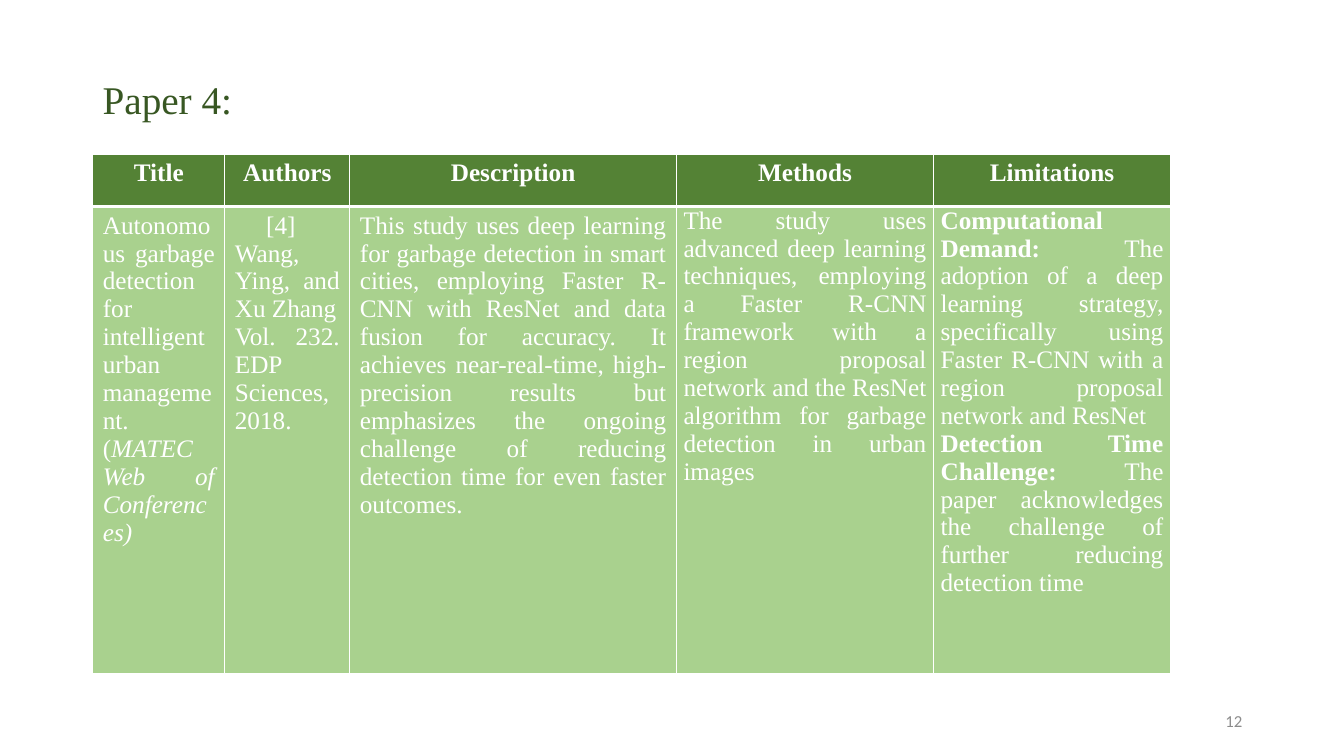
from lxml import etree
from pptx import Presentation
from pptx.dml.color import RGBColor
from pptx.enum.text import MSO_ANCHOR, PP_ALIGN
from pptx.oxml.ns import qn
from pptx.util import Emu, Inches, Pt

LEFT, CENTER, RIGHT, JUSTIFY = (
    PP_ALIGN.LEFT, PP_ALIGN.CENTER, PP_ALIGN.RIGHT, PP_ALIGN.JUSTIFY)
MIDDLE = MSO_ANCHOR.MIDDLE

TITLE = "Paper 4:"
PAGE_NUMBER = "12"
HEADERS = ["Title", "Authors", "Description", "Methods", "Limitations"]
# Each cell is a list of paragraphs; each paragraph a list of (text, style) spans.
DETAILS = [
    [[("Autonomous garbage detection for intelligent urban management.(", ""),
      ("MATEC Web of Conferences)", "italic")]],
    [[("[4]", "")],
     [("Wang, Ying, and Xu Zhang", "")],
     [("Vol. 232. EDP Sciences, 2018.", "")]],
    [[("This study uses deep learning for garbage detection in smart cities, "
       "employing Faster R-CNN with ResNet and data fusion for accuracy. It "
       "achieves near-real-time, high-precision results but emphasizes the "
       "ongoing challenge of reducing detection time for even faster outcomes.", "")]],
    [[("The study uses advanced deep learning techniques, employing a Faster "
       "R-CNN framework with a region proposal network and the ResNet algorithm "
       "for garbage detection in urban images", "")]],
    [[("Computational Demand:", "bold"),
      (" The adoption of a deep learning strategy, specifically using Faster "
       "R-CNN with a region proposal network and ResNet", "")],
     [("Detection Time Challenge:", "bold"),
      (" The paper acknowledges the challenge of further reducing detection time", "")]],
]

SERIF, SANS = "Times New Roman", "Calibri"
WHITE, DARK_GREEN, HEADER_GREEN, BODY_GREEN, GRAY = (
    "FFFFFF", "385723", "548235", "A9D18E", "8C8C8C")

MARGIN = 0.92
TABLE_TOP = 1.53
COLUMN_WIDTHS = [1.31, 1.24, 3.24, 2.55, 2.35]
ROW_HEIGHTS = [0.52, 4.63]
TIGHT_COLUMNS = (3, 4)
TIGHT_INSET = 0.07
CITATION_INDENT = 0.31
THIN, THICK = 1, 3


def color(value):
    return RGBColor.from_string(value)


def write(para, text, size=18, font=SERIF, fill=WHITE, style="", align=LEFT):
    para.alignment = align
    span = para.add_run()
    span.text = text
    span.font.size = Pt(size)
    span.font.name = font
    span.font.color.rgb = color(fill)
    span.font.bold = style == "bold"
    span.font.italic = style == "italic"


def add_label(page, text, left, top, width, height, **text_format):
    box = page.shapes.add_textbox(*map(Inches, (left, top, width, height)))
    frame = box.text_frame
    frame.word_wrap = True
    frame.vertical_anchor = MIDDLE
    write(frame.paragraphs[0], text, **text_format)


def paint(cell, fill, top, bottom):
    """Give a cell white borders, then its fill, in the order the schema asks."""
    properties = cell._tc.get_or_add_tcPr()
    for tag, width in (("lnL", THIN), ("lnR", THIN), ("lnT", top), ("lnB", bottom)):
        line = etree.SubElement(properties, qn("a:" + tag), w=str(Pt(width)))
        solid = etree.SubElement(line, qn("a:solidFill"))
        etree.SubElement(solid, qn("a:srgbClr"), val=WHITE)
    cell.fill.solid()
    cell.fill.fore_color.rgb = color(fill)


def add_paper_table(page):
    table = page.shapes.add_table(
        len(ROW_HEIGHTS), len(HEADERS), Inches(MARGIN), Inches(TABLE_TOP),
        Inches(sum(COLUMN_WIDTHS)), Inches(sum(ROW_HEIGHTS))).table
    for row, height in zip(table.rows, ROW_HEIGHTS):
        row.height = Inches(height)
    for index, width in enumerate(COLUMN_WIDTHS):
        table.columns[index].width = Inches(width)
        header, detail = table.cell(0, index), table.cell(1, index)
        paint(header, HEADER_GREEN, THIN, THICK)
        write(header.text_frame.paragraphs[0], HEADERS[index],
              style="bold", align=CENTER)

        paint(detail, BODY_GREEN, THICK, THIN)
        if index in TIGHT_COLUMNS:
            detail.margin_left = detail.margin_right = Inches(TIGHT_INSET)
            detail.margin_top = detail.margin_bottom = Emu(0)
        frame = detail.text_frame
        for number, spans in enumerate(DETAILS[index]):
            para = frame.add_paragraph() if number else frame.paragraphs[0]
            for text, style in spans:
                write(para, text, style=style, align=JUSTIFY)
    citation = table.cell(1, HEADERS.index("Authors")).text_frame.paragraphs[0]
    citation._p.get_or_add_pPr().set("indent", str(Inches(CITATION_INDENT)))


def main():
    deck = Presentation()
    deck.slide_width, deck.slide_height = Inches(13.33), Inches(7.5)
    page = deck.slides.add_slide(deck.slide_layouts[6])
    add_label(page, TITLE, MARGIN, 0.26, 11.5, 1.45, size=28, fill=DARK_GREEN)
    add_paper_table(page)
    add_label(page, PAGE_NUMBER, 9.42, 6.95, 3, 0.4,
              size=12, font=SANS, fill=GRAY, align=RIGHT)
    deck.save("out.pptx")


if __name__ == "__main__":
    main()
